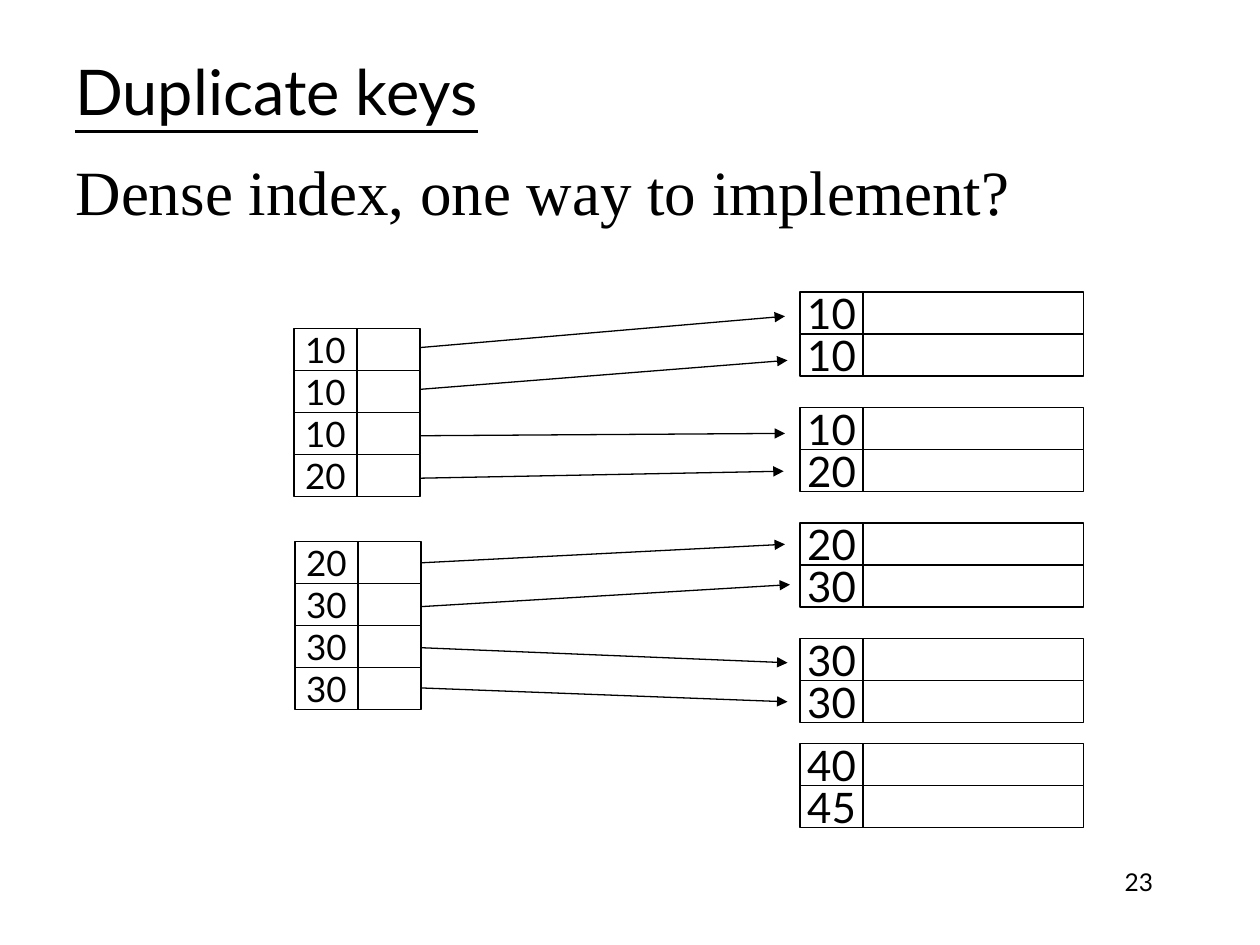
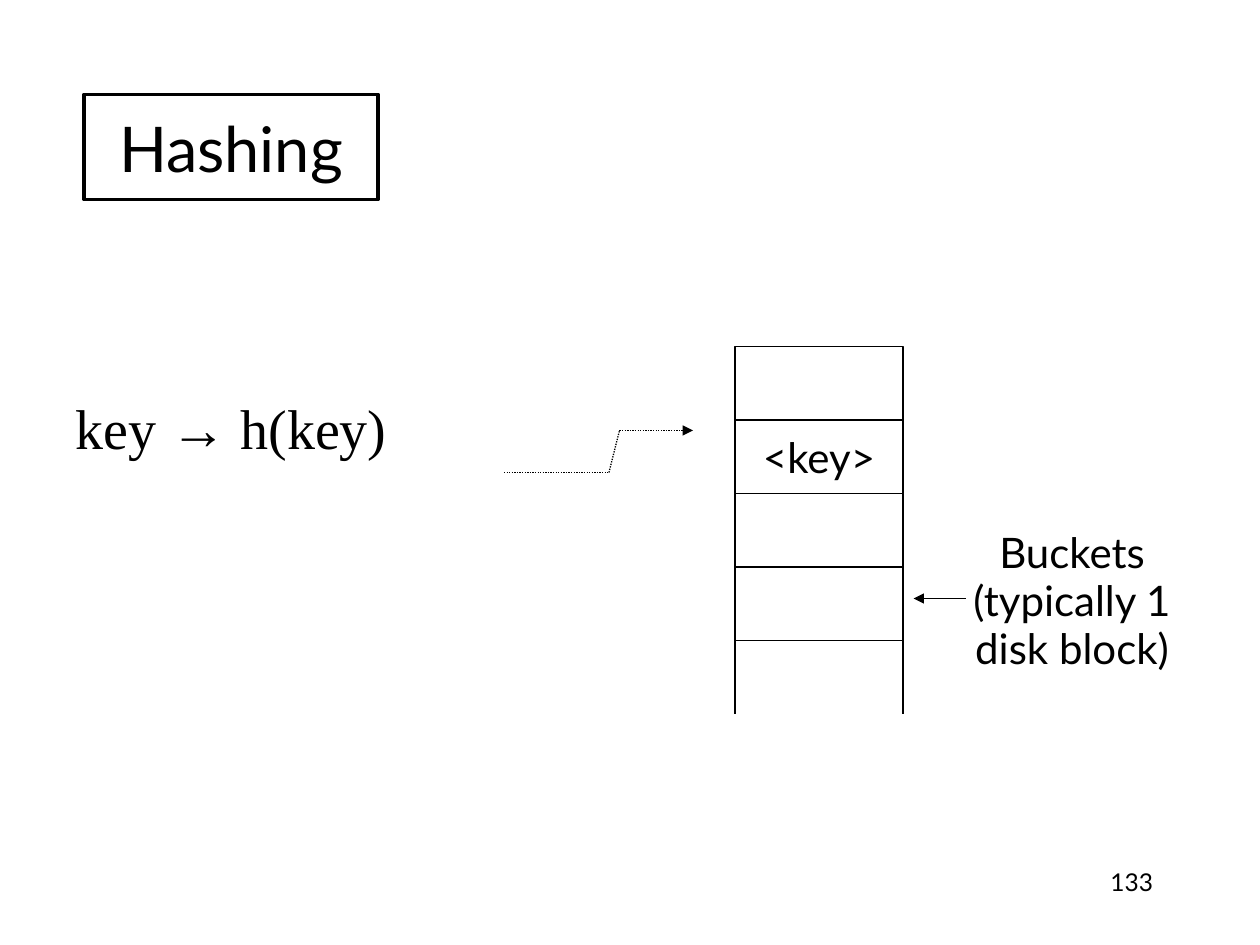
from itertools import pairwise

from lxml.etree import SubElement
from pptx import Presentation
from pptx.dml.color import RGBColor
from pptx.enum.dml import MSO_LINE
from pptx.enum.shapes import MSO_CONNECTOR, MSO_SHAPE
from pptx.enum.text import MSO_ANCHOR, PP_ALIGN
from pptx.oxml.ns import qn
from pptx.util import Inches, Pt

COLUMNS, ROWS = 120, 90
INK, PAPER = "000000", "FFFFFF"
SANS, SERIF, SYMBOL = "Lato", "Times New Roman", "Arial"


def color(hex_code):
    """Turn a hex string into a colour."""
    return RGBColor.from_string(hex_code)


class Deck:
    """Draw styled elements on the current slide, measured in grid units."""

    def __init__(self):
        """Start an empty presentation."""
        self.file = Presentation()
        self.file.slide_width, self.file.slide_height = Inches(10), Inches(7.5)
        self.column = self.file.slide_width / COLUMNS
        self.row = self.file.slide_height / ROWS

    def grid(self, across, down):
        """Convert columns and rows to slide lengths."""
        return round(across * self.column), round(down * self.row)

    def box(self, left, top, width, height):
        """Return the slide position and size of a grid area."""
        return *self.grid(left, top), *self.grid(width, height)

    def new_slide(self, number):
        """Add a title-only slide with its number."""
        self.slide = self.file.slides.add_slide(self.file.slide_layouts[5])
        self.text((86, 82, 25, 6), [str(number)], 14, align=PP_ALIGN.RIGHT,
                  anchor=MSO_ANCHOR.TOP)

    def set_text(self, shape, lines, size, font=SANS, align=PP_ALIGN.LEFT,
                 anchor=MSO_ANCHOR.MIDDLE, wrap=True, spacing=None):
        """Fill a shape with formatted paragraphs."""
        frame = shape.text_frame
        frame.text = "\n".join(lines)
        frame.word_wrap, frame.vertical_anchor = wrap, anchor
        frame.margin_left = frame.margin_right = Inches(0.1)
        frame.margin_top = frame.margin_bottom = Inches(0.05)
        for paragraph in frame.paragraphs:
            paragraph.alignment = align
            paragraph.line_spacing = spacing
            paragraph.font.size, paragraph.font.name = Pt(size), font
            paragraph.font.color.rgb = color(INK)
        return frame

    def text(self, area, lines, size, **style):
        """Add a text box."""
        return self.set_text(self.slide.shapes.add_textbox(*self.box(*area)),
                             lines, size, **style)

    def title(self, area, words, **style):
        """Move and format the title placeholder."""
        heading = self.slide.shapes.title
        heading.left, heading.top, heading.width, heading.height = self.box(*area)
        self.set_text(heading, [words], 36, **style)
        return heading

    def outline(self, shape, weight):
        """Give a shape the paper fill and ink border."""
        shape.fill.solid()
        shape.fill.fore_color.rgb = color(PAPER)
        shape.line.color.rgb = color(INK)
        shape.line.width = Pt(weight)

    def cell(self, area, words="", size=24):
        """Add a bordered cell."""
        cell = self.slide.shapes.add_shape(MSO_SHAPE.RECTANGLE, *self.box(*area))
        cell.shadow.inherit = False
        self.outline(cell, 0.75)
        if words:
            self.set_text(cell, [words], size, align=PP_ALIGN.CENTER, wrap=False)

    def block(self, left, top, keys, value_width, size):
        """Stack records, each a key cell beside a value cell."""
        for position, key in enumerate(keys):
            y = top + 4 * position
            self.cell((left, y, 6, 4), str(key), size)
            self.cell((left + 6, y, value_width, 4))

    def line(self, start, end, arrow=False, dash=None):
        """Add a straight line, with an arrowhead at its end if wanted."""
        line = self.slide.shapes.add_connector(
            MSO_CONNECTOR.STRAIGHT, *self.grid(*start), *self.grid(*end))
        line.line.color.rgb = color(INK)
        line.line.width = Pt(0.75)
        if dash:
            line.line.dash_style = dash
        properties = line._element.spPr
        if arrow:
            SubElement(properties.find(qn("a:ln")), qn("a:tailEnd"), type="triangle")
        SubElement(properties, qn("a:effectLst"))


def duplicate_keys(deck):
    """Draw the dense index that points at every record."""
    deck.new_slide(23)
    pointers = [
        (33.36, 74.76, 30.12), (37.32, 75, 34.32),
        (41.52, 74.76, 41.28), (45.6, 74.64, 44.88),
        (53.76, 74.76, 51.84), (57.96, 75.24, 55.68),
        (61.56, 75, 63.12), (65.4, 75, 66.84),
    ]
    for index_y, record_x, record_y in pointers:
        deck.line((37, index_y), (record_x, record_y), arrow=True)
    for position, keys in enumerate([(10, 10), (10, 20), (20, 30), (30, 30)]):
        deck.block(76.2, 27.8 + 11 * position, keys, 21, 24)
    deck.block(76.2, 70.8, (40, 45), 21, 24)
    deck.block(28, 31.3, (10, 10, 10, 20), 6, 20)
    deck.block(28.1, 51.6, (20, 30, 30, 30), 6, 20)
    deck.title((6, 12, 104, 12.2), "Dense index, one way to implement?", font=SERIF)
    topic = deck.text((6, 4, 44, 9.2), ["Duplicate keys"], 36)
    topic.paragraphs[0].font.underline = True


def hashing(deck):
    """Draw a key hashed to its bucket."""
    deck.new_slide(133)
    heading = deck.title((8, 9, 28, 10), "Hashing", align=PP_ALIGN.CENTER, wrap=False)
    deck.outline(heading, 2.25)

    formula = deck.text((6, 36.2, 40, 9), [""], 32, font=SERIF).paragraphs[0]
    for part, font in (("key ", SERIF), ("→", SYMBOL), (" h(key)", SERIF)):
        run = formula.add_run()
        run.text, run.font.name = part, font

    for position, content in enumerate(["", "<key>", "", ""]):
        deck.cell((70, 33 + 7 * position, 16, 7), content)
    for side in (70, 86):
        deck.line((side, 61), (side, 68))

    deck.line((92, 57), (87, 57), arrow=True)
    deck.text((91, 49.8, 22.2, 14.9), ["Buckets", "(typically 1", "disk block)"], 24,
              align=PP_ALIGN.CENTER, wrap=False, spacing=Pt(27.5))

    hash_route = [(48, 45), (58, 45), (59, 41), (66, 41)]
    for start, end in pairwise(hash_route):
        deck.line(start, end, arrow=end == hash_route[-1], dash=MSO_LINE.ROUND_DOT)


def main():
    """Build both slides and save them."""
    deck = Deck()
    duplicate_keys(deck)
    hashing(deck)
    deck.file.save("out.pptx")


if __name__ == "__main__":
    main()
